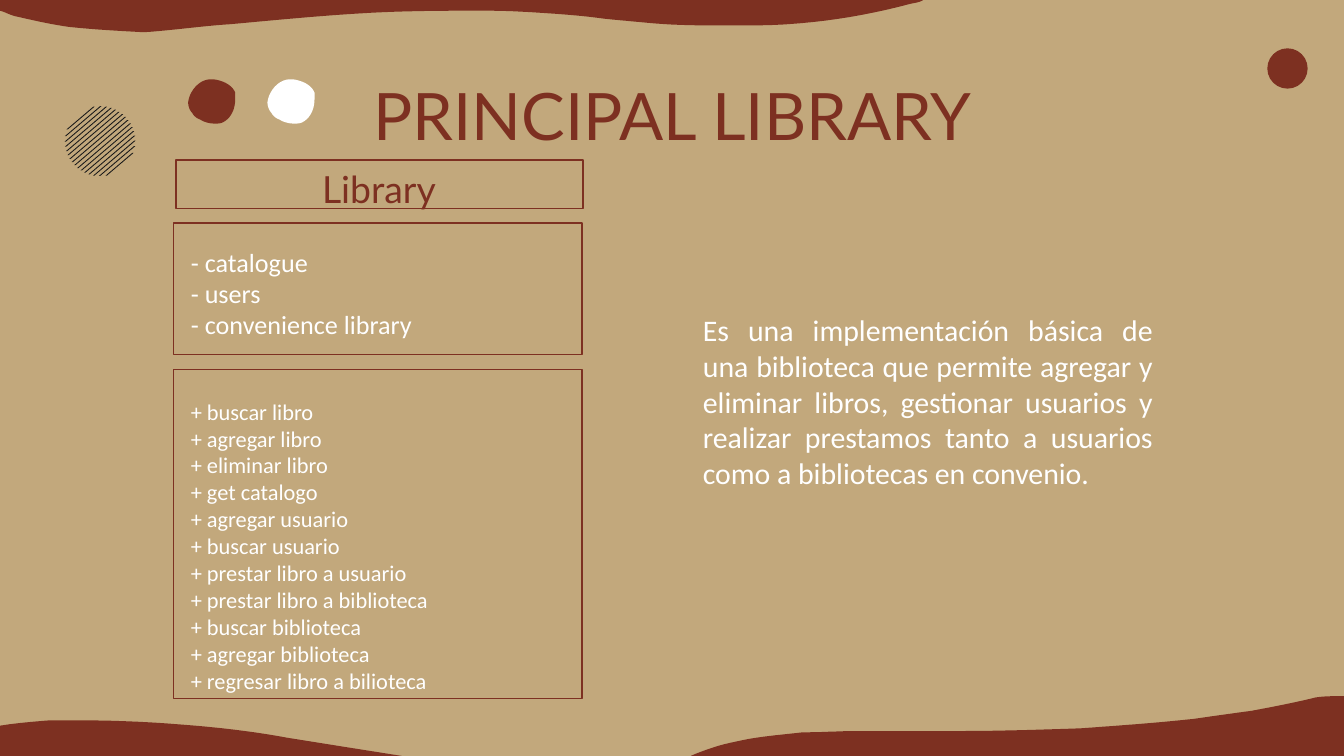
from math import hypot, sqrt

from pptx import Presentation
from pptx.dml.color import RGBColor
from pptx.enum.shapes import MSO_SHAPE as Shape
from pptx.enum.text import MSO_ANCHOR as Anchor, PP_ALIGN as Align
from pptx.util import Inches, Pt

WIDTH = 10
HEIGHT = WIDTH * 9 / 16

THEME = {
    "sand": "C2A87C", "brick": "7D3021", "white": "FFFFFF", "ink": "191919",
    "heading font": "Lato", "body font": "Calibri",
    "title": 35, "class name": 20, "description": 16, "attributes": 14, "methods": 12,
    "frame": 0.75,
}

TITLE = "PRINCIPAL LIBRARY"
CLASS_NAME = "Library"
ATTRIBUTES = ["- catalogue", "- users", "- convenience library"]
METHODS = [
    "+ buscar libro", "+ agregar libro", "+ eliminar libro", "+ get catalogo",
    "+ agregar usuario", "+ buscar usuario", "+ prestar libro a usuario",
    "+ prestar libro a biblioteca", "+ buscar biblioteca",
    "+ agregar biblioteca", "+ regresar libro a bilioteca",
]
DESCRIPTION = (
    "Es una implementación básica de una biblioteca que permite agregar y eliminar "
    "libros, gestionar usuarios y realizar prestamos tanto a usuarios como a "
    "bibliotecas en convenio."
)

# Left, top, width, height of the class diagram frames
FRAMES = [(1.29, 1.66, 3.04, 0.98), (1.31, 1.19, 3.03, 0.36), (1.29, 2.75, 3.04, 2.45)]

# Outlines: a pair is a straight step, six numbers are a cubic curve
TOP_WAVE = [
    (0, 0), (6.87, 0),
    (6.84, 0.02, 6.81, 0.02, 6.77, 0.03),
    (6.47, 0.11, 6.17, 0.16, 5.87, 0.18),
    (5.73, 0.19, 5.59, 0.19, 5.45, 0.19),
    (5.22, 0.19, 5.02, 0.19, 4.82, 0.17),
    (4.71, 0.16, 4.6, 0.15, 4.5, 0.14),
    (4.36, 0.12, 4.23, 0.11, 4.09, 0.1),
    (3.94, 0.09, 3.78, 0.08, 3.63, 0.08),
    (3.31, 0.08, 3, 0.08, 2.68, 0.1),
    (2.35, 0.12, 2.05, 0.15, 1.72, 0.18),
    (1.54, 0.19, 1.25, 0.23, 1.07, 0.24),
    (0.88, 0.23, 0.69, 0.22, 0.51, 0.2),
    (0.37, 0.18, 0.24, 0.15, 0.11, 0.12),
    (0.07, 0.11, 0.04, 0.09, 0, 0.08),
]
RIGHT_WAVE = [
    (WIDTH, HEIGHT), (WIDTH, 5.18),
    (9.93, 5.18, 9.86, 5.18, 9.79, 5.19),
    (9.63, 5.23, 9.47, 5.26, 9.31, 5.29),
    (9.16, 5.31, 9.02, 5.33, 8.88, 5.35),
    (8.6, 5.38, 8.32, 5.4, 8.04, 5.42),
    (7.74, 5.43, 7.44, 5.44, 7.14, 5.44),
    (6.89, 5.44, 6.64, 5.44, 6.39, 5.44),
    (6.25, 5.44, 6.11, 5.45, 5.97, 5.45),
    (5.8, 5.47, 5.64, 5.48, 5.47, 5.52),
    (5.37, 5.54, 5.27, 5.57, 5.14, HEIGHT),
]
LEFT_WAVE = [
    (0, HEIGHT), (0, 5.4),
    (0.12, 5.38, 0.25, 5.37, 0.37, 5.36),
    (0.44, 5.36, 0.51, 5.36, 0.58, 5.36),
    (0.83, 5.36, 1.08, 5.37, 1.33, 5.39),
    (1.6, 5.41, 1.87, 5.44, 2.14, 5.49),
    (2.39, 5.53, 2.64, 5.57, 2.99, HEIGHT),
]
BLOB = [
    (0.17, 0),
    (0.08, 0, 0.01, 0.09, 0, 0.17),
    (0, 0.2, 0.01, 0.23, 0.03, 0.25),
    (0.04, 0.27, 0.06, 0.29, 0.09, 0.3),
    (0.12, 0.32, 0.16, 0.33, 0.2, 0.33),
    (0.22, 0.33, 0.24, 0.33, 0.26, 0.32),
    (0.32, 0.29, 0.35, 0.22, 0.35, 0.15),
    (0.35, 0.14, 0.35, 0.12, 0.35, 0.1),
    (0.33, 0.04, 0.24, 0, 0.17, 0),
]
BLOBS = [(1.4, 0.59, "brick"), (1.99, 0.59, "white")]

HATCH = {"center": (0.74, 1.05), "radius": 0.26, "stripes": 16, "gap": 0.03,
         "breadth": 0.01, "slope": (0.4, -0.34)}


def color(name):
    return RGBColor.from_string(THEME[name])


def flatten(outline, steps=10):
    """Turn straight steps and cubic curves into a list of points."""
    points = []
    for piece in outline:
        if len(piece) == 2:
            points.append(piece)
            continue
        corners = [points[-1], piece[:2], piece[2:4], piece[4:]]
        for step in range(1, steps + 1):
            t = step / steps
            weights = ((1 - t) ** 3, 3 * t * (1 - t) ** 2, 3 * t * t * (1 - t), t ** 3)
            points.append(tuple(
                sum(w * corner[axis] for w, corner in zip(weights, corners))
                for axis in (0, 1)))
    return points


def add_outline(shapes, points, fill, left=0, top=0):
    spots = [(Inches(left + x), Inches(top + y)) for x, y in points]
    builder = shapes.build_freeform(*spots[0])
    builder.add_line_segments(spots[1:], close=True)
    shape = builder.convert_to_shape()
    shape.shadow.inherit = False
    shape.fill.solid()
    shape.fill.fore_color.rgb = color(fill)
    shape.line.fill.background()


def add_hatched_disc(page, center, radius, stripes, gap, breadth, slope):
    """Fill a circle with evenly spaced slanted chords."""
    group = page.shapes.add_group_shape()
    length = hypot(*slope)
    run, rise = (part / length for part in slope)
    for number in range(stripes):
        offset = (number - (stripes - 1) / 2) * gap
        half = sqrt(radius ** 2 - offset ** 2)
        x, y = center[0] - offset * rise, center[1] + offset * run
        start = (x - half * run, y - half * rise)
        end = (x + half * run, y + half * rise)
        points = [start, end, (end[0] + breadth, end[1]), (start[0] + breadth, start[1])]
        add_outline(group.shapes, points, "ink")


def add_text(page, lines, at, size, font="body font", fill="white", align=Align.LEFT):
    box = page.shapes.add_textbox(*map(Inches, at))
    frame = box.text_frame
    frame.word_wrap = True
    frame.vertical_anchor = Anchor.MIDDLE
    frame.margin_left = frame.margin_right = frame.margin_top = frame.margin_bottom = 0
    for number, line in enumerate(lines):
        para = frame.add_paragraph() if number else frame.paragraphs[0]
        para.alignment = align
        span = para.add_run()
        span.text = line
        span.font.name = THEME[font]
        span.font.size = Pt(THEME[size])
        span.font.color.rgb = color(fill)


def add_preset(page, kind, at):
    shape = page.shapes.add_shape(kind, *map(Inches, at))
    shape.shadow.inherit = False
    return shape


def main():
    deck = Presentation()
    deck.slide_width, deck.slide_height = Inches(WIDTH), Inches(HEIGHT)
    page = deck.slides.add_slide(deck.slide_layouts[6])
    page.background.fill.solid()
    page.background.fill.fore_color.rgb = color("sand")

    for wave in (TOP_WAVE, RIGHT_WAVE, LEFT_WAVE):
        add_outline(page.shapes, flatten(wave), "brick")
    dot = add_preset(page, Shape.OVAL, (9.43, 0.36, 0.3, 0.3))
    dot.fill.solid()
    dot.fill.fore_color.rgb = color("brick")
    dot.line.fill.background()
    add_hatched_disc(page, **HATCH)

    for at in FRAMES:
        frame = add_preset(page, Shape.RECTANGLE, at)
        frame.fill.background()
        frame.line.color.rgb = color("brick")
        frame.line.width = Pt(THEME["frame"])

    heading = {"font": "heading font", "fill": "brick", "align": Align.CENTER}
    add_text(page, [TITLE], (0.79, 0.59, 8.43, 0.52), "title", **heading)
    add_text(page, METHODS, (1.42, 3.57, 2.4, 0.98), "methods")
    add_text(page, [CLASS_NAME], (2.04, 1.24, 1.56, 0.32), "class name", **heading)
    add_text(page, ATTRIBUTES, (1.42, 1.74, 2.82, 0.88), "attributes")
    add_text(page, [DESCRIPTION], (5.23, 1.91, 3.35, 2.15), "description",
             align=Align.JUSTIFY)

    for left, top, fill in BLOBS:
        add_outline(page.shapes, flatten(BLOB), fill, left, top)
    deck.save("out.pptx")


if __name__ == "__main__":
    main()
